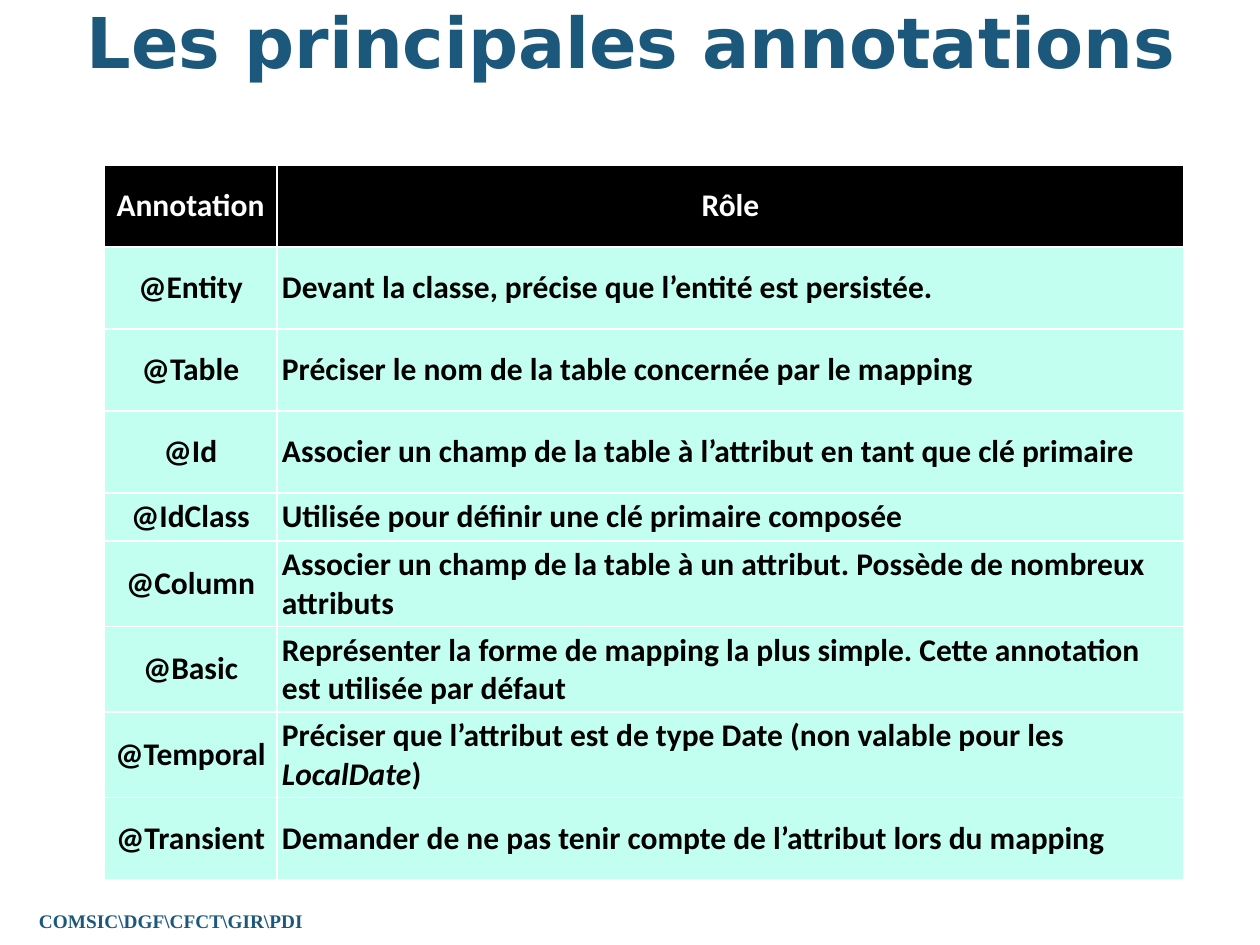
from dataclasses import dataclass

from pptx import Presentation
from pptx.dml.color import RGBColor
from pptx.enum.text import MSO_ANCHOR, MSO_AUTO_SIZE, PP_ALIGN
from pptx.util import Emu, Pt

CENTER, LEFT = PP_ALIGN.CENTER, PP_ALIGN.LEFT
MIDDLE = MSO_ANCHOR.MIDDLE
GROW = MSO_AUTO_SIZE.SHAPE_TO_FIT_TEXT
TITLE_ONLY = 5
EMU_PER_PX = 914400 / 126


def px(length):
    return Emu(round(length * EMU_PER_PX))


@dataclass(frozen=True)
class Theme:
    accent: str = "1B587C"
    header_fill: str = "000000"
    header_text: str = "FFFFFF"
    body_fill: str = "C2FFF0"
    body_text: str = "000000"
    title_font: str = "DejaVu Sans"
    table_font: str = "Calibri"
    footer_font: str = "Times New Roman"
    title_size: int = 40
    table_size: int = 18
    footer_size: int = 11
    cell_margin: int = 5


class SlideBuilder:
    def __init__(self, slide, theme):
        self.slide = slide
        self.theme = theme

    def style(self, paragraph, font_name, size, color, alignment):
        paragraph.alignment = alignment
        font = paragraph.font
        font.name, font.size, font.bold = font_name, Pt(size), True
        font.color.rgb = RGBColor.from_string(color)

    def fill_frame(self, shape, text, font_name, size):
        """Set centred accent text in a shape that grows with it."""
        frame = shape.text_frame
        frame.text = text
        frame.word_wrap = True
        frame.auto_size = GROW
        frame.vertical_anchor = MIDDLE
        self.style(frame.paragraphs[0], font_name, size, self.theme.accent, CENTER)

    def title(self, text, left, top, width, height):
        shape = self.slide.shapes.title
        shape.left, shape.top = px(left), px(top)
        shape.width, shape.height = px(width), px(height)
        self.fill_frame(shape, text, self.theme.title_font, self.theme.title_size)

    def footer(self, text, left, top, width, height):
        shape = self.slide.shapes.add_textbox(px(left), px(top), px(width), px(height))
        self.fill_frame(shape, text, self.theme.footer_font, self.theme.footer_size)

    def cell(self, cell, text, fill, color, alignment):
        """Fill a cell; parts of the text between asterisks become italic."""
        theme = self.theme
        cell.fill.solid()
        cell.fill.fore_color.rgb = RGBColor.from_string(fill)
        cell.vertical_anchor = MIDDLE
        margin = px(theme.cell_margin)
        cell.margin_left = cell.margin_right = margin
        cell.margin_top = cell.margin_bottom = margin
        paragraph = cell.text_frame.paragraphs[0]
        self.style(paragraph, theme.table_font, theme.table_size, color, alignment)
        for index, part in enumerate(text.split("*")):
            run = paragraph.add_run()
            run.text = part
            if index % 2:
                run.font.italic = True

    def table(self, rows, left, top, column_widths, row_heights):
        theme = self.theme
        table = self.slide.shapes.add_table(
            len(rows), len(column_widths), px(left), px(top),
            px(sum(column_widths)), px(sum(row_heights))).table
        for column, width in zip(table.columns, column_widths):
            column.width = px(width)
        for row_index, (texts, height) in enumerate(zip(rows, row_heights)):
            table.rows[row_index].height = px(height)
            is_header = row_index == 0
            fill = theme.header_fill if is_header else theme.body_fill
            color = theme.header_text if is_header else theme.body_text
            for column_index, text in enumerate(texts):
                alignment = CENTER if is_header or column_index == 0 else LEFT
                self.cell(table.cell(row_index, column_index), text, fill, color, alignment)


ANNOTATIONS = [
    ("Annotation", "Rôle"),
    ("@Entity", "Devant la classe, précise que l’entité est persistée."),
    ("@Table", "Préciser le nom de la table concernée par le mapping"),
    ("@Id", "Associer un champ de la table à l’attribut en tant que clé primaire"),
    ("@IdClass", "Utilisée pour définir une clé primaire composée"),
    ("@Column", "Associer un champ de la table à un attribut. Possède de nombreux attributs"),
    ("@Basic", "Représenter la forme de mapping la plus simple. "
               "Cette annotation est utilisée par défaut"),
    ("@Temporal", "Préciser que l’attribut est de type Date (non valable pour les *LocalDate*)"),
    ("@Transient", "Demander de ne pas tenir compte de l’attribut lors du mapping"),
]


def main():
    presentation = Presentation()
    presentation.slide_width, presentation.slide_height = px(1260), px(945)
    slide = presentation.slides.add_slide(presentation.slide_layouts[TITLE_ONLY])
    builder = SlideBuilder(slide, Theme())
    builder.footer("COMSIC\\DGF\\CFCT\\GIR\\PDI", -25, 902, 392, 37)
    builder.title("Les principales annotations", 64, 8, 1134, 66)
    builder.table(ANNOTATIONS, 104, 165, [173, 907], [82] * 4 + [47] + [83] * 3 + [82])
    presentation.save("out.pptx")


if __name__ == "__main__":
    main()
